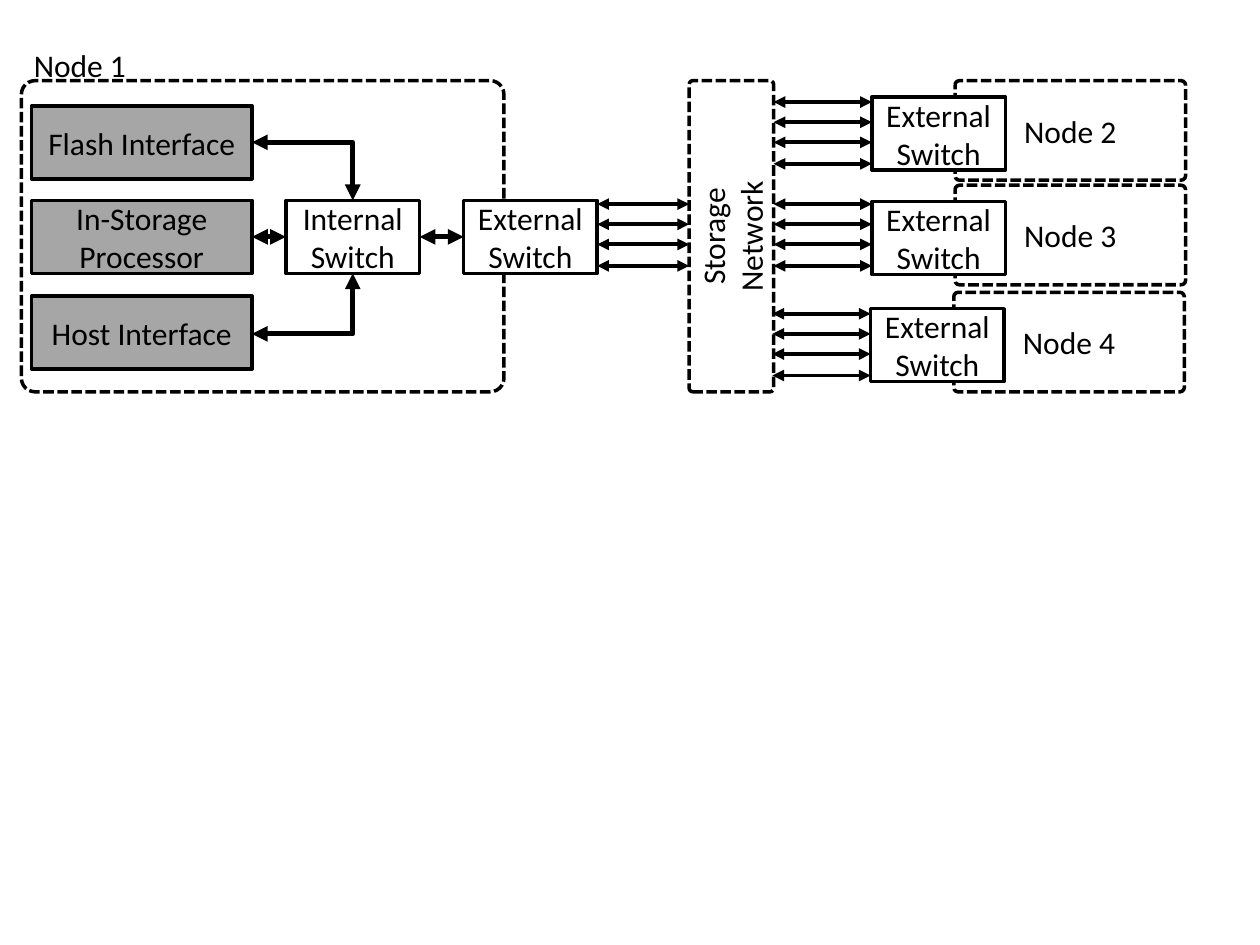
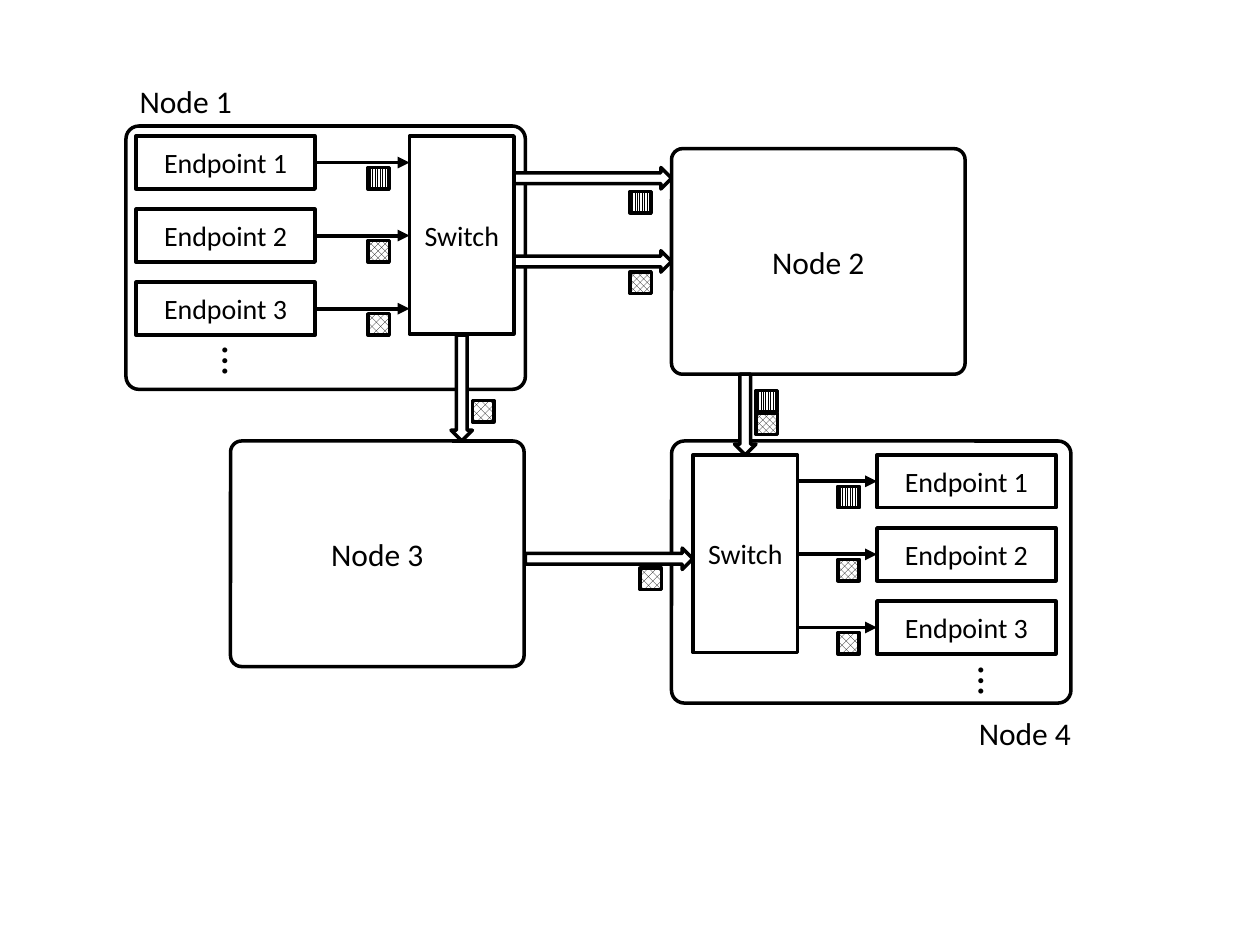
from pptx import Presentation
from pptx.dml.color import RGBColor
from pptx.enum.dml import MSO_LINE as Dash, MSO_PATTERN as Pat
from pptx.enum.shapes import MSO_CONNECTOR as Con, MSO_SHAPE as Geo
from pptx.enum.text import MSO_ANCHOR as Anchor, MSO_AUTO_SIZE as Auto, PP_ALIGN as Align
from pptx.oxml.ns import qn
from pptx.util import Inches, Pt
from lxml.etree import SubElement

FONT = "Calibri"
BLACK, WHITE, GRAY = "000000", "FFFFFF", "A6A6A6"
EDGE, LINK, THICK = 2, 2.25, 3
TILE = 0.17
STRIPE, CHECK, DOTS = Pat.LIGHT_VERTICAL, Pat.LARGE_CHECKER_BOARD, Pat.PERCENT_50


def color(code):
    """Turn a hex string into a colour."""
    return RGBColor.from_string(code)


def write(frame, text, size, align):
    """Fill a text frame, one paragraph for each line of text."""
    for i, line in enumerate(text.split("\n")):
        para = frame.paragraphs[0] if i == 0 else frame.add_paragraph()
        para.alignment = align
        run = para.add_run()
        run.text = line
        run.font.name = FONT
        run.font.size = Pt(size)
        run.font.color.rgb = color(BLACK)


def box(slide, at, text="", size=18, fill=WHITE, geo=Geo.RECTANGLE, round=None, dash=False):
    """Add a black-edged shape with centred text."""
    shape = slide.shapes.add_shape(geo, *map(Inches, at))
    shape.shadow.inherit = False
    if round is not None:
        shape.adjustments[0] = round
    if fill:
        shape.fill.solid()
        shape.fill.fore_color.rgb = color(fill)
    else:
        shape.fill.background()
    shape.line.color.rgb = color(BLACK)
    shape.line.width = Pt(EDGE)
    if dash:
        shape.line.dash_style = Dash.SQUARE_DOT
    if text:
        shape.text_frame.vertical_anchor = Anchor.MIDDLE
        write(shape.text_frame, text, size, Align.CENTER)
    return shape


def zone(slide, at, text=""):
    """Add a dashed rounded area."""
    return box(slide, at, text, geo=Geo.ROUNDED_RECTANGLE, round=0.044, dash=True)


def node(slide, at, text="", fill=WHITE):
    """Add a solid rounded node."""
    return box(slide, at, text, fill=fill, geo=Geo.ROUNDED_RECTANGLE, round=0.049)


def label(slide, at, text, size=18, turn=0):
    """Add free text that does not wrap."""
    area = slide.shapes.add_textbox(*map(Inches, at))
    area.rotation = turn
    area.text_frame.word_wrap = False
    area.text_frame.auto_size = Auto.SHAPE_TO_FIT_TEXT
    write(area.text_frame, text, size, Align.LEFT)


def link(slide, start, end, width=LINK, both=True, bent=False):
    """Add a straight or bent arrow, with one head or two."""
    kind = Con.ELBOW if bent else Con.STRAIGHT
    line = slide.shapes.add_connector(kind, *map(Inches, start + end))
    line.line.color.rgb = color(BLACK)
    line.line.width = Pt(width)
    props = line.element.spPr
    if bent:
        props.find(qn("a:prstGeom")).set("prst", "bentConnector2")
    stroke = props.find(qn("a:ln"))
    for end_tag in ("a:headEnd", "a:tailEnd") if both else ("a:tailEnd",):
        SubElement(stroke, qn(end_tag)).set("type", "triangle")
    SubElement(props, qn("a:effectLst"))


def lanes(slide, left, right, top):
    """Add the four parallel links of a switch."""
    for drop in (0, 0.16, 0.32, 0.49):
        link(slide, (left, top + drop), (right, top + drop))


def packet(slide, x, y, pattern):
    """Add a small patterned square."""
    tile = box(slide, (x, y, TILE, TILE))
    tile.fill.patterned()
    tile.fill.pattern = pattern
    tile.fill.fore_color.rgb = color(BLACK)
    tile.fill.back_color.rgb = color(WHITE)


def ports(slide, top, ends, switch, span, tile):
    """Add a switch, its three endpoints, and the packets between them."""
    box(slide, (switch, top, 0.83, 1.57), "Switch", 16, None)
    for i, pattern in enumerate((STRIPE, CHECK, DOTS)):
        y = top + 0.58 * i
        box(slide, (ends, y, 1.42, 0.42), f"Endpoint {i + 1}", 16, None)
        link(slide, (span[0], y + 0.21), (span[1], y + 0.21), both=False)
        packet(slide, tile, y + 0.25, pattern)


def storage(slide):
    """Draw the nodes around the storage network."""
    zone(slide, (0.17, 0.64, 3.83, 2.47))
    parts = (("Flash Interface", 0.84), ("In-Storage Processor", 1.59), ("Host Interface", 2.35))
    for text, y in parts:
        box(slide, (0.25, y, 1.75, 0.58), text, fill=GRAY)
    for name, x in (("Internal", 2.27), ("External", 3.68)):
        box(slide, (x, 1.59, 1.06, 0.58), f"{name}\nSwitch")
    for y, end in ((1.13, 1.59), (2.65, 2.17)):
        link(slide, (2, y), (2.8, end), THICK, bent=True)
    for left, right in ((2, 2.27), (3.33, 3.68)):
        link(slide, (left, 1.88), (right, 1.88), THICK)
    label(slide, (0.17, 0.32, 0.94, 0.4), "Node 1")
    zone(slide, (4.57, 1.54, 2.47, 0.67), "Storage\nNetwork").rotation = 270
    lanes(slide, 4.74, 5.47, 1.62)
    peers = (("Node 2", 6.92, 0.64, 0.81), ("Node 3", 6.92, 1.47, 1.62), ("Node 4", 6.91, 2.32, 2.49))
    for name, x, y, lane in peers:
        zone(slide, (x + 0.66, y, 1.83, 0.79), name)
        box(slide, (x, y + 0.13, 1.06, 0.58), "External\nSwitch")
        lanes(slide, x - 0.78, x, lane)


def routing(slide):
    """Draw packets routed between four nodes."""
    node(slide, (1, 1, 3.17, 2.09), fill=None)
    node(slide, (5.33, 1.18, 2.33, 1.79), "Node 2")
    node(slide, (1.83, 3.5, 2.33, 1.79), "Node 3")
    node(slide, (5.33, 3.5, 3.17, 2.08), fill=None)
    ports(slide, 1.08, 1.08, 3.25, (2.5, 3.25), 2.92)
    ports(slide, 3.61, 6.96, 5.5, (6.33, 6.96), 6.65)
    label(slide, (1.01, 0.6, 0.94, 0.4), "Node 1")
    label(slide, (7.67, 5.62, 0.94, 0.4), "Node 4")
    for x, y, width in ((4.08, 1.33, 1.25), (4.08, 1.99, 1.25), (4.17, 4.35, 1.33)):
        box(slide, (x, y, width, TILE), geo=Geo.RIGHT_ARROW)
    for x, y, height in ((3.58, 2.66, 0.84), (5.83, 2.97, 0.64)):
        box(slide, (x, y, TILE, height), geo=Geo.DOWN_ARROW)
    moving = (
        (5, 1.52, STRIPE), (5, 2.16, CHECK),
        (6, 3.1, STRIPE), (6, 3.28, CHECK),
        (3.75, 3.18, DOTS), (5.08, 4.51, DOTS),
    )
    for x, y, pattern in moving:
        packet(slide, x, y, pattern)
    for x, y in ((1.45, 2.61), (7.45, 5.15)):
        label(slide, (x, y, 0.44, 0.5), "…", 24, 270)


def main():
    """Build and save both slides."""
    deck = Presentation()
    deck.slide_width, deck.slide_height = Inches(10), Inches(7.5)
    for draw in (storage, routing):
        draw(deck.slides.add_slide(deck.slide_layouts[6]))
    deck.save("out.pptx")


main()
